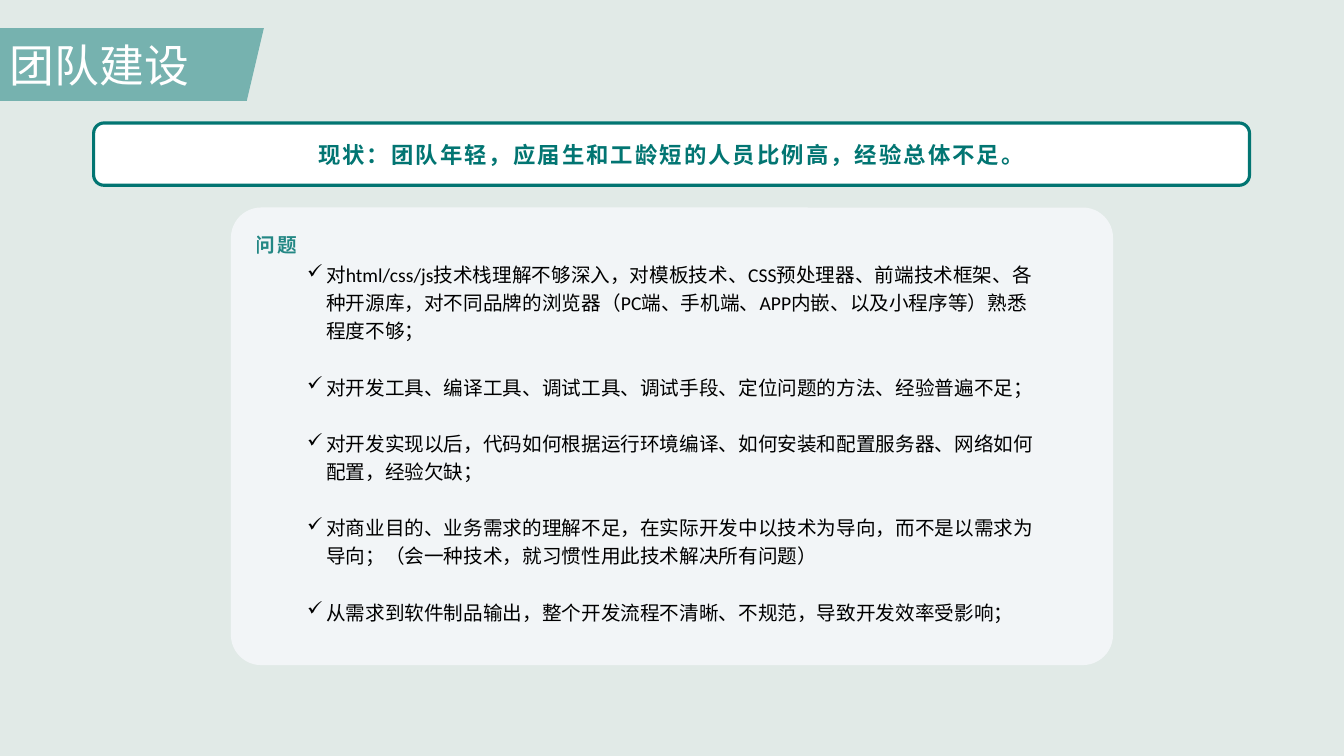
from lxml.etree import SubElement as Sub
from pptx import Presentation
from pptx.dml.color import RGBColor
from pptx.enum.shapes import MSO_SHAPE as Preset
from pptx.enum.text import MSO_ANCHOR as Anchor, PP_ALIGN as Align
from pptx.oxml.ns import qn
from pptx.util import Cm, Pt

TEAL = RGBColor(0x02, 0x75, 0x72)
MIST = RGBColor(0xE1, 0xEA, 0xE7)
PALE = RGBColor(0xF2, 0xF5, 0xF7)
WHITE = RGBColor(0xFF, 0xFF, 0xFF)
BLACK = RGBColor(0, 0, 0)
HAN = "Noto Sans CJK SC"
ISSUES = [
    "对html/css/js技术栈理解不够深入，对模板技术、CSS预处理器、前端技术框架、各种开源库，"
    "对不同品牌的浏览器（PC端、手机端、APP内嵌、以及小程序等）熟悉程度不够；",
    "对开发工具、编译工具、调试工具、调试手段、定位问题的方法、经验普遍不足；",
    "对开发实现以后，代码如何根据运行环境编译、如何安装和配置服务器、网络如何配置，经验欠缺；",
    "对商业目的、业务需求的理解不足，在实际开发中以技术为导向，而不是以需求为导向；"
    "（会一种技术，就习惯性用此技术解决所有问题）",
    "从需求到软件制品输出，整个开发流程不清晰、不规范，导致开发效率受影响；",
]


def fade(node, share):
    """Make the solid colour under node partly transparent."""
    color = next(node.iter(qn("a:srgbClr")))
    Sub(color, qn("a:alpha"), val=str(share * 1000))


def paint(shape, fill, line=None, alpha=None):
    """Give a shape a flat fill and an optional outline."""
    shape.shadow.inherit = False
    shape.fill.solid()
    shape.fill.fore_color.rgb = fill
    if alpha:
        fade(shape.fill._xPr.find(qn("a:solidFill")), alpha)
    if line:
        shape.line.color.rgb = line
        shape.line.width = Pt(2.25)
    else:
        shape.line.fill.background()


def write(para, text, size=14, color=TEAL, font=HAN, bold=False, track=0,
          alpha=None, align=Align.LEFT, after=0):
    """Write one formatted run into a paragraph."""
    para.alignment = align
    para.space_after = Pt(after)
    run = para.add_run()
    run.text = text
    face = run.font
    face.size, face.bold, face.name = Pt(size), bold, font
    face.color.rgb = color
    props = run._r.get_or_add_rPr()
    props.set("lang", "zh-CN")
    if track:
        props.set("spc", str(int(track * 100)))
    if alpha:
        fade(props, alpha)
    Sub(props, qn("a:ea"), typeface=HAN)


def tick(para):
    """Hang a check mark in front of a paragraph."""
    props = para._p.get_or_add_pPr()
    props.set("marL", str(Cm(0.48)))
    props.set("indent", str(-Cm(0.48)))
    Sub(props, qn("a:buChar"), char="✓")


def frame(shape, anchor, inset=None):
    """Prepare a wrapped text frame and return it."""
    body = shape.text_frame
    body.word_wrap = True
    body.vertical_anchor = anchor
    if inset:
        body.margin_left = body.margin_right = inset
        body.margin_top = body.margin_bottom = inset
    return body


def card(slide, box, fill, line=None, round=0.1667):
    """Draw a rounded card."""
    shape = slide.shapes.add_shape(Preset.ROUNDED_RECTANGLE, *map(Cm, box))
    shape.adjustments[0] = round
    paint(shape, fill, line)
    return shape


def banner(slide, text):
    """Draw the slanted title banner."""
    path = slide.shapes.build_freeform(0, Cm(0.71))
    path.add_line_segments([(Cm(6.65), Cm(0.71)), (Cm(6.22), Cm(2.54)),
                            (0, Cm(2.54))])
    shape = path.convert_to_shape()
    paint(shape, TEAL, alpha=48)
    write(frame(shape, Anchor.MIDDLE).paragraphs[0], text, size=32, color=WHITE)


def ticks(slide, box, items):
    """Write the list of checked items."""
    body = frame(slide.shapes.add_textbox(*map(Cm, box)), Anchor.TOP)
    for rank, item in enumerate(items):
        para = body.add_paragraph() if rank else body.paragraphs[0]
        para.line_spacing = 1.2
        write(para, item, color=BLACK, font="Calibri", after=20)
        tick(para)


def main():
    """Build the slide and save it."""
    deck = Presentation()
    deck.slide_width, deck.slide_height = Cm(33.87), Cm(19.05)
    slide = deck.slides.add_slide(deck.slide_layouts[6])
    slide.background.fill.solid()
    slide.background.fill.fore_color.rgb = MIST

    banner(slide, "团队建设")
    state = card(slide, (2.36, 3.1, 29.13, 1.57), WHITE, TEAL)
    write(frame(state, Anchor.MIDDLE).paragraphs[0],
          "现状：团队年轻，应届生和工龄短的人员比例高，经验总体不足。",
          size=16, bold=True, track=1.5, align=Align.CENTER, after=4)
    panel = card(slide, (5.82, 5.23, 22.23, 11.53), PALE, round=0.066)
    write(frame(panel, Anchor.TOP, Cm(0.41)).paragraphs[0], "问题",
          bold=True, track=1.5, alpha=85, after=4)
    ticks(slide, (7.49, 6.38, 18.87, 10.31), ISSUES)
    deck.save("out.pptx")


main()
